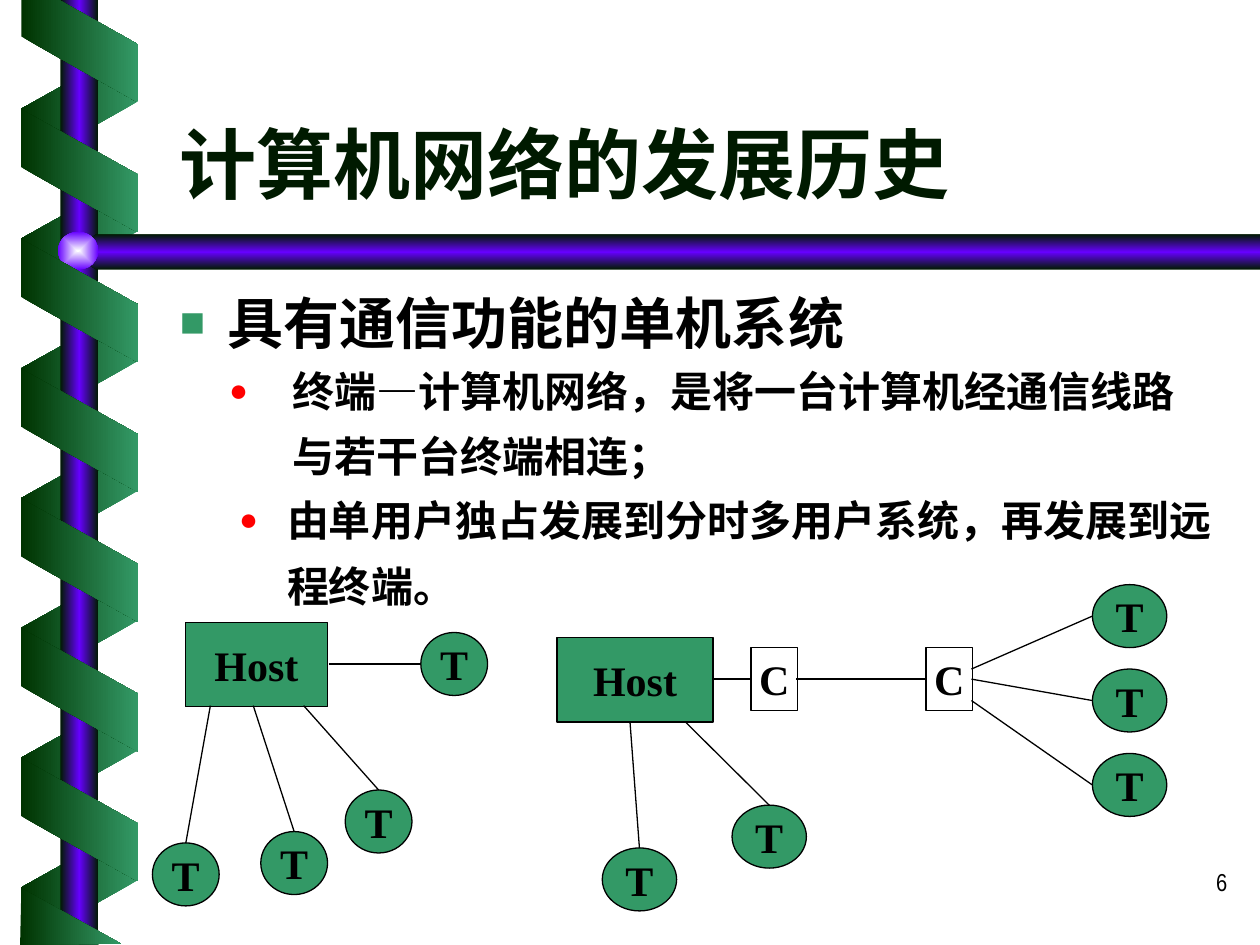
from pptx import Presentation
from pptx.dml.color import RGBColor
from pptx.enum.shapes import MSO_CONNECTOR as Link, MSO_SHAPE as Kind
from pptx.enum.text import MSO_ANCHOR as Anchor, PP_ALIGN as Align
from pptx.oxml import parse_xml
from pptx.oxml.ns import nsdecls, qn
from pptx.util import Inches, Pt
from lxml.etree import SubElement

GREEN, DARK, DEEP = "339966", "003300", "001A00"
VIOLET, BLACK, WHITE, RED = "6600FF", "000000", "FFFFFF", "FF0000"
SERIF, SANS = "Times New Roman", "Noto Sans CJK SC"


def color(code):
    return RGBColor.from_string(code)


class Board:
    def __init__(self, slide):
        self.slide = slide
        self.shapes = slide.shapes
        self.size = 24
        self.thin = 0.75

    def blend(self, shape, codes, angle=0, ball=False):
        """Fill with evenly spaced colours, held fixed when the shape turns."""
        step = 100000 // (len(codes) - 1)
        stops = "".join(
            f'<a:gs pos="{i * step}"><a:srgbClr val="{code}"/></a:gs>'
            for i, code in enumerate(codes))
        if ball:
            way = ('<a:path path="rect"><a:fillToRect l="50000" t="50000" '
                   'r="50000" b="50000"/></a:path>')
        else:
            way = f'<a:lin ang="{angle * 60000}" scaled="0"/>'
        shape.fill.solid()
        props = shape._element.spPr
        props.replace(props.find(qn("a:solidFill")), parse_xml(
            f'<a:gradFill {nsdecls("a")} rotWithShape="0">'
            f'<a:gsLst>{stops}</a:gsLst>{way}</a:gradFill>'))
        shape.line.fill.background()
        shape.shadow.inherit = False

    def shape(self, kind, x, y, w, h):
        return self.shapes.add_shape(
            kind, Inches(x), Inches(y), Inches(w), Inches(h))

    def strip(self, y, turn, codes, flip=False):
        strip = self.shape(Kind.PARALLELOGRAM, 0.14, y, 0.98, 0.93)
        strip.adjustments[0] = 0.56
        strip.rotation = turn
        if flip:
            strip._element.spPr.xfrm.set("flipH", "1")
        self.blend(strip, codes)

    def outline(self, points, codes, angle=0):
        first, *rest = [(Inches(x), Inches(y)) for x, y in points]
        pen = self.shapes.build_freeform(*first)
        pen.add_line_segments(rest, close=True)
        self.blend(pen.convert_to_shape(), codes, angle)

    def style(self, para, size, face=SERIF, code=BLACK, bold=True):
        for run in para.runs:
            font = run.font
            font.size, font.bold, font.name = Pt(size), bold, face
            font.color.rgb = color(code)
            SubElement(run._r.get_or_add_rPr(), qn("a:ea"), typeface=SANS)

    def text(self, x, y, w, h, words, size, anchor=Anchor.TOP,
             align=Align.LEFT, bullet=None, space=None, **look):
        box = self.shapes.add_textbox(
            Inches(x), Inches(y), Inches(w), Inches(h))
        frame = box.text_frame
        frame.word_wrap = True
        frame.vertical_anchor = anchor
        para = frame.paragraphs[0]
        para.text = words
        para.alignment = align
        if space:
            para.line_spacing = space
        if bullet:
            self.bullet(para, *bullet)
        self.style(para, size, **look)

    def bullet(self, para, mark, code, left, hang):
        props = para._p.get_or_add_pPr()
        props.set("marL", str(Inches(left)))
        props.set("indent", str(-Inches(hang)))
        tint = SubElement(props, qn("a:buClr"))
        SubElement(tint, qn("a:srgbClr"), val=code)
        SubElement(props, qn("a:buSzPct"), val="75000")
        SubElement(props, qn("a:buFont"), typeface=SERIF)
        SubElement(props, qn("a:buChar"), char=mark)

    def node(self, kind, x, y, w, h, label, code=GREEN):
        node = self.shape(kind, x, y, w, h)
        node.fill.solid()
        node.fill.fore_color.rgb = color(code)
        node.line.color.rgb = color(BLACK)
        node.line.width = Pt(self.thin)
        node.shadow.inherit = False
        frame = node.text_frame
        frame.word_wrap = False
        frame.vertical_anchor = Anchor.MIDDLE
        para = frame.paragraphs[0]
        para.text = label
        para.alignment = Align.CENTER
        self.style(para, self.size)

    def wire(self, x1, y1, x2, y2, width=None):
        wire = self.shapes.add_connector(
            Link.STRAIGHT, Inches(x1), Inches(y1), Inches(x2), Inches(y2))
        wire.line.color.rgb = color(BLACK)
        wire.line.width = Pt(width or self.thin)
        SubElement(wire._element.spPr, qn("a:effectLst"))

    def term(self, x, y, w, start, side=False):
        """A terminal, wired at its left side or its top."""
        self.node(Kind.OVAL, x, y, w, 0.5, "T")
        end = (x, y + 0.25) if side else (x + w / 2, y)
        self.wire(*start, *end)


def main():
    deck = Presentation()
    deck.slide_width, deck.slide_height = Inches(10), Inches(7.5)
    board = Board(deck.slides.add_slide(deck.slide_layouts[6]))
    pitch = 1.03

    # Ribbon behind the pole
    for i in range(7):
        board.strip(0.37 + i * pitch, 90, (GREEN, DARK), flip=True)

    # Pole, bar and ball
    tube = (DEEP, VIOLET, DEEP)
    board.blend(board.shape(Kind.RECTANGLE, 0.48, 0, 0.3, 7.5), tube)
    board.outline([(10, 1.86), (0.76, 1.86), (0.6, 2), (0.76, 2.14),
                   (10, 2.14)], tube, 90)
    board.blend(board.shape(Kind.OVAL, 0.46, 1.84, 0.32, 0.3),
                ("FEFFFF", VIOLET), ball=True)

    # Ribbon in front, cut at the top and bottom edges
    front = (DARK, GREEN)
    for i in range(6):
        board.strip(0.89 + i * pitch, 270, front)
    board.outline([(0.17, 0), (0.17, 0.29), (1.09, 0.81), (1.09, 0.35),
                   (0.47, 0)], front)
    board.outline([(0.96, 7.49), (0.17, 7.05), (0.16, 7.5)], front)

    # Title, points and page number
    board.text(1.33, 0.46, 8.5, 1.25, "计算机网络的发展历史", 44,
               anchor=Anchor.BOTTOM, face=SANS, code=DEEP)
    board.text(1.33, 2.24, 8.5, 0.76, "具有通信功能的单机系统", 32,
               bullet=("■", GREEN, 0.38, 0.38))
    board.text(1.22, 2.73, 8.5, 1.1,
               "终端—计算机网络，是将一台计算机经通信线路与若干台终端相连；",
               24, bullet=("●", RED, 1, 0.5), space=1.3)
    board.text(1.3, 3.76, 8.5, 1.13,
               "由单用户独占发展到分时多用户系统，再发展到远程终端。",
               24, bullet=("●", RED, 0.88, 0.38), space=1.3)
    board.text(7.76, 6.83, 2.08, 0.5, "6", 14, align=Align.RIGHT,
               face="Arial Narrow", bold=False)

    # Left network: terminals wired straight to the host
    board.node(Kind.RECTANGLE, 1.47, 4.94, 1.13, 0.67, "Host")
    for x, y, start in ((2.74, 6.27, 2.41), (2.07, 6.6, 2.01),
                        (1.21, 6.69, 1.67)):
        board.term(x, y, 0.53, (start, 5.6))
    board.term(3.34, 5.02, 0.53, (2.61, 5.27), side=True)

    # Right network: far terminals share a line between two units
    board.node(Kind.RECTANGLE, 4.42, 5.06, 1.24, 0.67, "Host")
    for x in (5.96, 7.35):
        board.node(Kind.RECTANGLE, x, 5.14, 0.37, 0.5, "C", WHITE)
    board.wire(5.66, 5.39, 5.96, 5.39, 1.5)
    board.wire(6.32, 5.39, 7.35, 5.39)
    for i, start in enumerate((5.31, 5.39, 5.56)):
        board.term(8.67, 4.64 + i * 0.67, 0.59, (7.71, start), side=True)
    for x, y, start in ((5.81, 6.39, 5.44), (4.78, 6.73, 5)):
        board.term(x, y, 0.59, (start, 5.73))

    deck.save("out.pptx")


if __name__ == "__main__":
    main()
